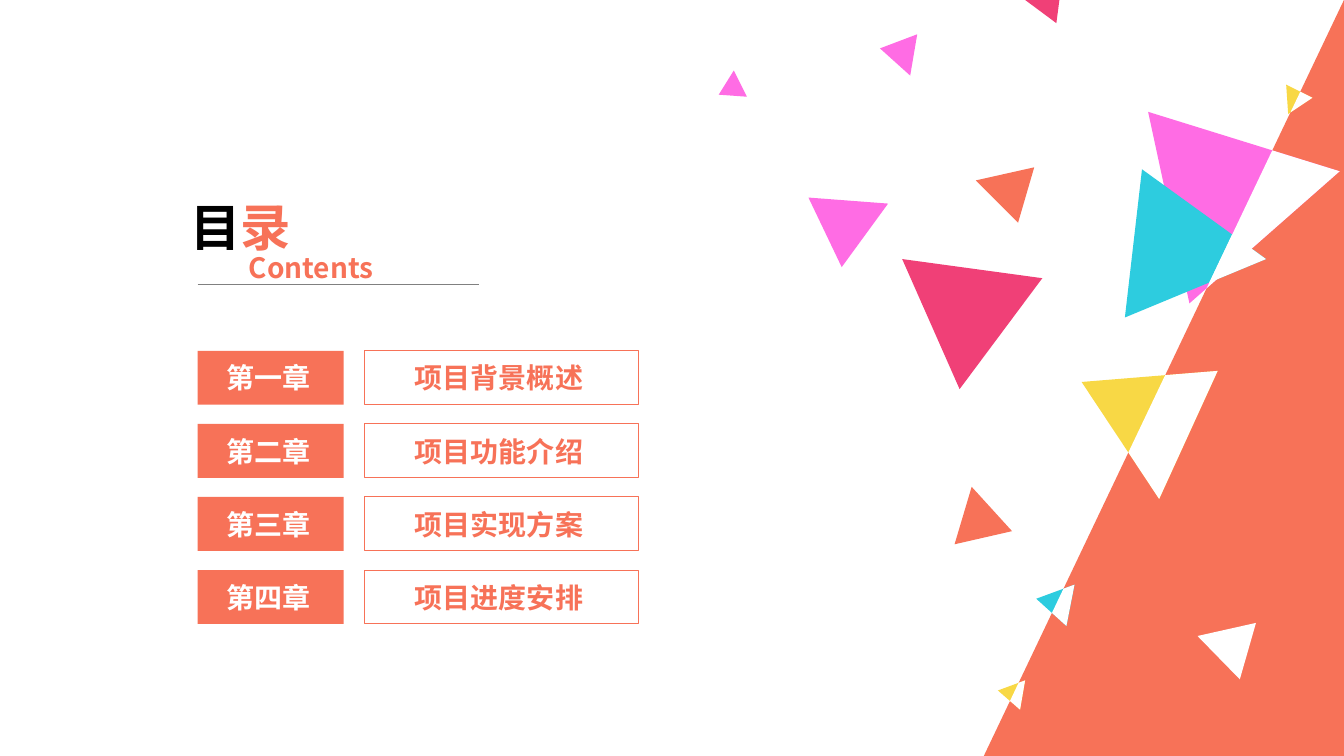
from lxml.etree import SubElement
from pptx import Presentation
from pptx.dml.color import RGBColor
from pptx.enum.shapes import MSO_CONNECTOR, MSO_SHAPE
from pptx.enum.text import MSO_ANCHOR, PP_ALIGN
from pptx.oxml.ns import qn
from pptx.util import Inches, Pt

CELL = Inches(0.1)
COLUMNS, ROWS = 133.33, 75
EDGE_FOOT = 97.6  # column where the diagonal edge meets the bottom
INSET = 1
COLORS = {"coral": "F77258", "pink": "FF6CE4", "cyan": "2DCCDF", "yellow": "F8D845",
          "red": "F04077", "white": "FFFFFF", "black": "000000", "gray": "808080"}

CHAPTERS = [("第一章", "项目背景概述"), ("第二章", "项目功能介绍"),
            ("第三章", "项目实现方案"), ("第四章", "项目进度安排")]
FIRST_ROW, ROW_STEP, BOX_HEIGHT = 34.8, 7.25, 5.35

TRIANGLES = [
    ("coral", [(102.6, 16.6), (101, 22.1), (96.8, 17.9)]),
    ("pink", [(118, 30.1), (113.9, 11.1), (132.9, 17)]),
    ("cyan", [(111.6, 31.5), (113.3, 16.8), (125.6, 25.7)]),
    ("cyan", [(102.8, 59.4), (106.6, 58), (105.8, 62.1)]),
    ("yellow", [(99, 68.5), (101.7, 67.5), (101.2, 70.4)]),
    ("yellow", [(107.3, 37.9), (120.8, 36.8), (115, 49.5)]),
    ("red", [(103.4, 27.6), (95.2, 38.6), (89.5, 25.7)]),
    ("yellow", [(127.8, 11.3), (127.6, 8.4), (130.2, 9.7)]),
    ("pink", [(87.3, 4.8), (91, 3.4), (90.3, 7.5)]),
    ("red", [(104.8, 2.3), (101.7, 0), (105.1, 0)]),
    ("pink", [(83.5, 26.5), (80.2, 19.6), (88.1, 20.2)]),
    ("coral", [(100.4, 52.7), (94.7, 54), (96.4, 48.3)]),
    ("white", [(124.6, 61.8), (123, 67.4), (118.8, 63.1)]),
    ("pink", [(71.3, 9.4), (72.8, 7), (74.1, 9.6)]),
]


def right_of_edge(points):
    """Return the part of a polygon that lies over the coral corner."""
    def depth(point):
        return point[0] - COLUMNS + (COLUMNS - EDGE_FOOT) * point[1] / ROWS

    kept = []
    for start, end in zip(points, points[1:] + points[:1]):
        near, far = depth(start), depth(end)
        if near >= 0:
            kept.append(start)
        if near * far < 0:
            share = near / (near - far)
            kept.append(tuple(a + share * (b - a) for a, b in zip(start, end)))
    return kept


def cells(*counts):
    return [round(count * CELL) for count in counts]


def add_span(para, text, size=20, color="coral", bold=True, font="Noto Sans CJK SC"):
    span = para.add_run()
    span.text = text
    span.font.size, span.font.bold, span.font.name = Pt(size), bold, font
    span.font.color.rgb = RGBColor.from_string(COLORS[color])
    SubElement(span._r.get_or_add_rPr(), qn("a:ea")).set("typeface", font)


class Page:
    def __init__(self, deck):
        self.slide = deck.slides.add_slide(deck.slide_layouts[5])
        self.shapes = self.slide.shapes

    def paint(self, shape, fill=None, line=None):
        shape.shadow.inherit = False
        for ink, color in ((shape.fill, fill), (shape.line.fill, line)):
            if color:
                ink.solid()
                ink.fore_color.rgb = RGBColor.from_string(COLORS[color])
            else:
                ink.background()
        if line:
            shape.line.width = Pt(0.75)

    def set_text(self, shape, *spans, indent=INSET):
        frame = shape.text_frame
        frame.word_wrap, frame.vertical_anchor = True, MSO_ANCHOR.MIDDLE
        frame.margin_left, frame.margin_right = cells(indent, 0)
        para = frame.paragraphs[0]
        para.alignment = PP_ALIGN.LEFT
        for text, style in spans:
            add_span(para, text, **style)

    def title(self, left, top, width, height, *spans):
        box = self.shapes.title
        box.left, box.top, box.width, box.height = cells(left, top, width, height)
        self.set_text(box, *spans)

    def label(self, left, top, width, height, text):
        box = self.shapes.add_textbox(*cells(left, top, width, height))
        self.set_text(box, (text, {}))

    def box(self, left, top, width, height, text, indent, color="coral", **paint):
        box = self.shapes.add_shape(MSO_SHAPE.RECTANGLE, *cells(left, top, width, height))
        self.paint(box, **paint)
        self.set_text(box, (text, {"color": color}), indent=indent)

    def corner(self, color):
        corner = self.shapes.add_shape(
            MSO_SHAPE.ISOSCELES_TRIANGLE, *cells(EDGE_FOOT, 0, COLUMNS - EDGE_FOOT, ROWS))
        corner.adjustments[0] = 1
        self.paint(corner, fill=color)

    def polygon(self, points, color):
        corners = [cells(*point) for point in points]
        builder = self.shapes.build_freeform(*corners[0])
        builder.add_line_segments(corners[1:], close=True)
        self.paint(builder.convert_to_shape(), fill=color)

    def rule(self, left, right, row, color):
        line = self.shapes.add_connector(MSO_CONNECTOR.STRAIGHT, *cells(left, row, right, row))
        line.line.width = Pt(0.5)
        line.line.color.rgb = RGBColor.from_string(COLORS[color])
        SubElement(line._element.spPr, qn("a:effectLst"))


def main():
    deck = Presentation()
    deck.slide_width, deck.slide_height = cells(COLUMNS, ROWS)
    page = Page(deck)
    page.corner("coral")
    for index, (chapter, topic) in enumerate(CHAPTERS):
        top = FIRST_ROW + index * ROW_STEP
        page.box(36.15, top, 27.2, BOX_HEIGHT, topic, indent=5, line="coral")
        page.box(19.6, top, 14.5, BOX_HEIGHT, chapter, indent=2.9, color="white", fill="coral")
    page.title(17.9, 18.9, 15.7, 7.1, ("目", {"size": 36, "color": "black"}), ("录", {"size": 36}))
    page.rule(19.6, 47.5, 28.2, "gray")
    page.label(23.7, 24.3, 15.7, 4.4, "Contents")
    for color, points in TRIANGLES:
        page.polygon(points, color)
    for color, points in TRIANGLES:
        overlap = right_of_edge(points)
        if overlap and color != "white":
            page.polygon(overlap, "white")
    deck.save("out.pptx")


if __name__ == "__main__":
    main()
